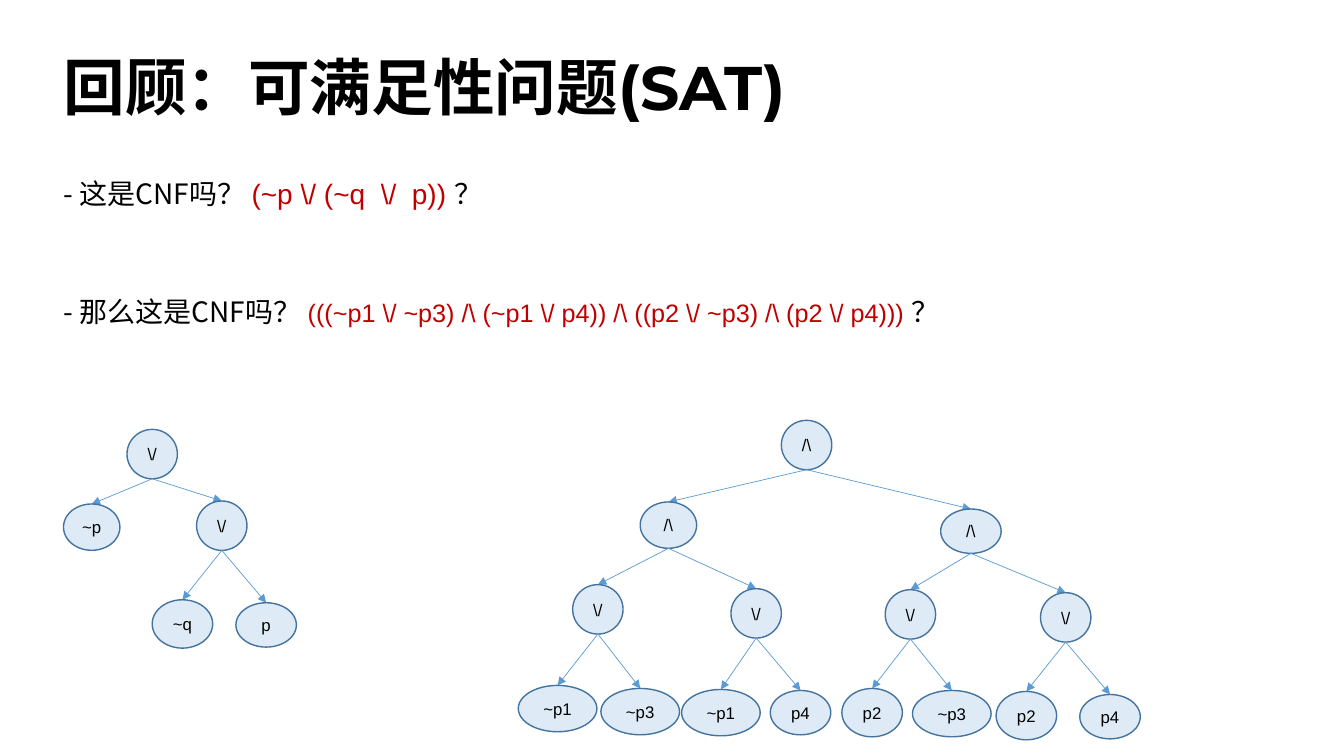
from pptx import Presentation, util as u
from pptx.dml.color import RGBColor
from pptx.enum import shapes, text
from pptx.oxml.ns import qn
from lxml import etree

PX = 9144
BLACK = RGBColor(0x00, 0x00, 0x00)
RED = RGBColor(0xC0, 0x00, 0x00)
NODE_FILL = RGBColor(0xDE, 0xEB, 0xF7)
NODE_LINE = RGBColor(0x43, 0x73, 0x9E)
EDGE = RGBColor(0x5B, 0x9B, 0xD5)
CJK = "Noto Sans CJK SC"

TITLE = {"name": "Montserrat", "size": u.Pt(44), "bold": True}
QUESTION = {"name": CJK, "size": u.Pt(20)}
MARK = {"name": "Arial", "size": u.Pt(20)}
LABEL = {"name": "Arial", "size": u.Pt(12)}

OR, AND = "\\/", "/\\"
ROUND, OVAL, FLAT, TALL, WIDE = (50, 49), (56, 46), (60, 44), (60, 48), (78, 46)

SMALL_TREE = (OR, 126, 426, ROUND, [
    ("~p", 63, 500, OVAL, []),
    (OR, 195, 497, ROUND, [
        ("~q", 151, 595, TALL, []),
        ("p", 234, 598, FLAT, []),
    ]),
])
LARGE_TREE = (AND, 775, 417, ROUND, [
    (AND, 635, 498, OVAL, [
        (OR, 568, 580, ROUND, [
            ("~p1", 514, 680, WIDE, []),
            ("~p3", 596, 683, WIDE, []),
        ]),
        (OR, 725, 584, ROUND, [
            ("~p1", 676, 684, WIDE, []),
            ("p4", 764, 685, FLAT, []),
        ]),
    ]),
    (AND, 933, 505, FLAT, [
        (OR, 878, 585, ROUND, [
            ("p2", 835, 683, TALL, []),
            ("~p3", 905, 685, WIDE, []),
        ]),
        (OR, 1032, 588, ROUND, [
            ("p2", 988, 686, TALL, []),
            ("p4", 1071, 689, FLAT, []),
        ]),
    ]),
])


def px(*lengths):
    return [u.Emu(n * PX) for n in lengths]


def add_run(p, words, font, color=BLACK):
    r = p.add_run()
    r.text = words
    for key, value in font.items():
        setattr(r.font, key, value)
    r.font.color.rgb = color
    ea = etree.SubElement(r.font._element, qn("a:ea"))
    ea.set("typeface", CJK)


def set_title(s, words):
    title = s.shapes.title
    title.left, title.top, title.width, title.height = px(53, 17, 1150, 145)
    tf = title.text_frame
    tf.vertical_anchor = text.MSO_ANCHOR.MIDDLE
    p = tf.paragraphs[0]
    p.alignment = text.PP_ALIGN.LEFT
    p.line_spacing = 0.9
    add_run(p, words, TITLE)


def add_question(s, top, width, question, formula, size):
    tf = s.shapes.add_textbox(*px(53, top, width, 44)).text_frame
    tf.word_wrap = True
    tf.auto_size = text.MSO_AUTO_SIZE.SHAPE_TO_FIT_TEXT
    p = tf.paragraphs[0]
    add_run(p, question, QUESTION)
    add_run(p, formula, {"name": "Arial", "size": u.Pt(size)}, RED)
    add_run(p, "？", MARK)


def add_node(s, label, x, y, w, h):
    sp = s.shapes.add_shape(shapes.MSO_SHAPE.OVAL, *px(x, y, w, h))
    sp.shadow.inherit = False
    sp.fill.solid()
    sp.fill.fore_color.rgb = NODE_FILL
    sp.line.color.rgb = NODE_LINE
    sp.line.width = u.Pt(1)
    tf = sp.text_frame
    tf.word_wrap = False
    tf.vertical_anchor = text.MSO_ANCHOR.MIDDLE
    p = tf.paragraphs[0]
    p.alignment = text.PP_ALIGN.CENTER
    add_run(p, label, LABEL)


def add_arrow(s, x1, y1, x2, y2):
    arrow = s.shapes.add_connector(shapes.MSO_CONNECTOR.STRAIGHT, *px(x1, y1, x2, y2))
    arrow.line.color.rgb = EDGE
    arrow.line.width = u.Pt(0.5)
    etree.SubElement(arrow.line._get_or_add_ln(), qn("a:tailEnd")).set("type", "triangle")
    etree.SubElement(arrow._element.spPr, qn("a:effectLst"))


def add_tree(s, tree):
    label, x, y, (w, h), children = tree
    add_node(s, label, x, y, w, h)
    for child in children:
        _, child_x, child_y, (child_w, _), _ = child
        add_arrow(s, x + w // 2, y + h, child_x + child_w // 2, child_y)
        add_tree(s, child)


def main():
    prs = Presentation()
    prs.slide_width, prs.slide_height = px(1333, 750)
    s = prs.slides.add_slide(prs.slide_layouts[5])
    set_title(s, "回顾：可满足性问题(SAT)")
    add_question(s, 170, 454, "- 这是CNF吗？ ", "(~p \\/ (~q  \\/  p)) ", 20)
    add_question(s, 287, 913, "- 那么这是CNF吗？ ",
                 "(((~p1 \\/ ~p3) /\\ (~p1 \\/ p4)) /\\ ((p2 \\/ ~p3) /\\ (p2 \\/ p4))) ", 18)
    for tree in (SMALL_TREE, LARGE_TREE):
        add_tree(s, tree)
    prs.save("out.pptx")


if __name__ == "__main__":
    main()
